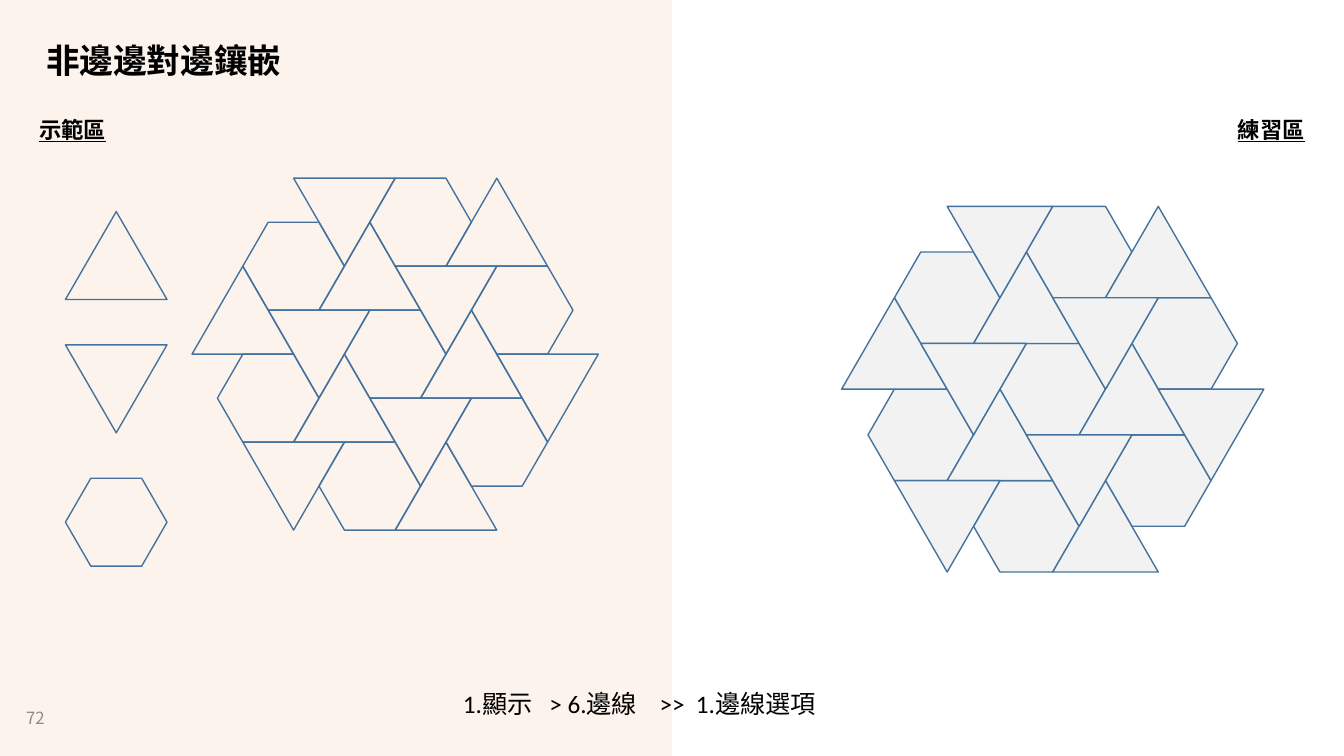
from dataclasses import dataclass
from math import sqrt

from lxml.etree import SubElement
from pptx import Presentation
from pptx.dml.color import RGBColor
from pptx.enum.shapes import MSO_CONNECTOR, MSO_SHAPE
from pptx.enum.text import MSO_ANCHOR, MSO_AUTO_SIZE, PP_ALIGN
from pptx.oxml.ns import qn
from pptx.util import Cm, Pt


@dataclass(frozen=True)
class Theme:
    peach: str = "F4B183"
    rule: str = "FBE5D6"
    ink: str = "000000"
    edge: str = "43739E"
    tile: str = "F2F2F2"
    page: str = "8C8C8C"
    face: str = "Noto Sans CJK SC"
    latin: str = "Calibri"
    head: int = 24
    step: int = 18
    label: int = 16
    foot: int = 12


theme = Theme()

FORMS = {
    "up": [(2, 0), (4, 2), (0, 2)],
    "down": [(2, 2), (0, 0), (4, 0)],
    "hex": [(4, 1), (3, 0), (1, 0), (0, 1), (1, 2), (3, 2)],
}
HEXES = [(5, -1), (1, -3), (4, 2)]
PEAKS = [(-1, -2), (-2, 1), (3, 0), (-6, -1), (4, -3), (2, 3)]
CORE = (6, 3)


def tint(code):
    return RGBColor.from_string(code)


def fade(part, alpha):
    color = next(part.iter(qn("a:srgbClr")))
    SubElement(color, qn("a:alpha")).set("val", str(alpha * 1000))


def style(run, size, color=theme.ink, face=theme.face, bold=False, under=False):
    font = run.font
    font.size = Pt(size)
    font.bold = bold
    font.underline = under
    font.color.rgb = tint(color)
    font.name = face
    east = SubElement(run._r.get_or_add_rPr(), qn("a:ea"))
    east.set("typeface", theme.face)


def text_box(slide, box, align=PP_ALIGN.LEFT, anchor=MSO_ANCHOR.TOP):
    frame = slide.shapes.add_textbox(*map(Cm, box)).text_frame
    frame.word_wrap = True
    frame.vertical_anchor = anchor
    frame.paragraphs[0].alignment = align
    return frame.paragraphs[0]


def add_panel(slide, box):
    left, top, width, height = map(Cm, box)
    panel = slide.shapes.add_shape(MSO_SHAPE.RECTANGLE, left, top, width, height)
    panel.shadow.inherit = False
    panel.fill.solid()
    panel.fill.fore_color.rgb = tint(theme.peach)
    panel.line.fill.background()
    fade(panel._element.spPr, 14)
    edge = left + width
    rule = slide.shapes.add_connector(
        MSO_CONNECTOR.STRAIGHT, edge, top + height, edge, top)
    rule.line.color.rgb = tint(theme.rule)
    rule.line.width = Pt(0.25)
    fade(rule._element.spPr, 50)
    SubElement(rule._element.spPr, qn("a:effectLst"))
    slide.shapes._spTree.insert(2, panel._element)


def add_title(slide, box):
    title = slide.shapes.title
    title.left, title.top, title.width, title.height = map(Cm, box)
    frame = title.text_frame
    frame.text = "非邊邊對邊鑲嵌"
    frame.word_wrap = False
    frame.auto_size = MSO_AUTO_SIZE.NONE
    frame.vertical_anchor = MSO_ANCHOR.MIDDLE
    line = frame.paragraphs[0]
    line.alignment = PP_ALIGN.LEFT
    line.line_spacing = 0.9
    style(line.runs[0], theme.head, bold=True)


def add_label(slide, box, text):
    line = text_box(slide, box, PP_ALIGN.CENTER)
    line.text = text
    style(line.runs[0], theme.label, bold=True, under=True)


def add_tile(shapes, form, left, top, width, fill=None):
    unit, rise = width / 4, width * sqrt(3) / 4
    spots = [(Cm(left + x * unit), Cm(top + y * rise)) for x, y in FORMS[form]]
    pen = shapes.build_freeform(*spots[0])
    pen.add_line_segments(spots[1:], close=True)
    tile = pen.convert_to_shape()
    tile.shadow.inherit = False
    if fill:
        tile.fill.solid()
        tile.fill.fore_color.rgb = tint(fill)
    else:
        tile.fill.background()
    tile.line.color.rgb = tint(theme.edge)
    tile.line.width = Pt(1)


def add_tiling(shapes, left, top, width, fill=None):
    plan = [("hex", 0, 0)]
    plan += [("hex", s * x, s * y) for x, y in HEXES for s in (1, -1)]
    plan += [("up", x, y) for x, y in PEAKS]
    plan += [("down", -x, -y) for x, y in PEAKS]
    for form, x, y in plan:
        col, row = CORE[0] + x, CORE[1] + y
        add_tile(shapes, form, left + col * width / 4,
                 top + row * width * sqrt(3) / 4, width, fill)


def add_samples(slide, left, top, width, pitch):
    for i, form in enumerate(("up", "down", "hex")):
        add_tile(slide.shapes, form, left, top + i * pitch, width)


def add_steps(slide, box):
    line = text_box(slide, box, PP_ALIGN.RIGHT, MSO_ANCHOR.MIDDLE)
    parts = [("1.顯示", 8), ("> 6.邊線", 12), (">>", 4), ("1.邊線選項", 0)]
    for text, gap in parts:
        run = line.add_run()
        run.text = text
        style(run, theme.step, face=theme.latin)
        if gap:
            space = line.add_run()
            space.text = " "
            style(space, theme.step, face=theme.latin)
            space._r.get_or_add_rPr().set("spc", str(gap * 100))


def add_page(slide, box):
    line = text_box(slide, box, anchor=MSO_ANCHOR.MIDDLE)
    line.text = "72"
    style(line.runs[0], theme.foot, theme.page)


def main():
    deck = Presentation()
    deck.slide_width, deck.slide_height = Cm(33.87), Cm(19.05)
    slide = deck.slides.add_slide(deck.slide_layouts[5])
    add_panel(slide, (0, 0, 16.93, 19.05))
    add_title(slide, (0.91, 1.02, 15.11, 1.12))
    add_label(slide, (0.72, 2.79, 2.22, 0.94), "示範區")
    add_label(slide, (30.93, 2.79, 2.22, 0.94), "練習區")
    add_samples(slide, 1.65, 5.33, 2.56, 3.36)
    add_tiling(slide.shapes, 4.84, 4.49, 2.56)
    group = slide.shapes.add_group_shape()
    add_tiling(group.shapes, 21.21, 5.2, 2.66, theme.tile)
    add_steps(slide, (11.18, 17.15, 9.63, 1.14))
    add_page(slide, (0.41, 17.6, 1.7, 0.99))
    deck.save("out.pptx")


if __name__ == "__main__":
    main()
